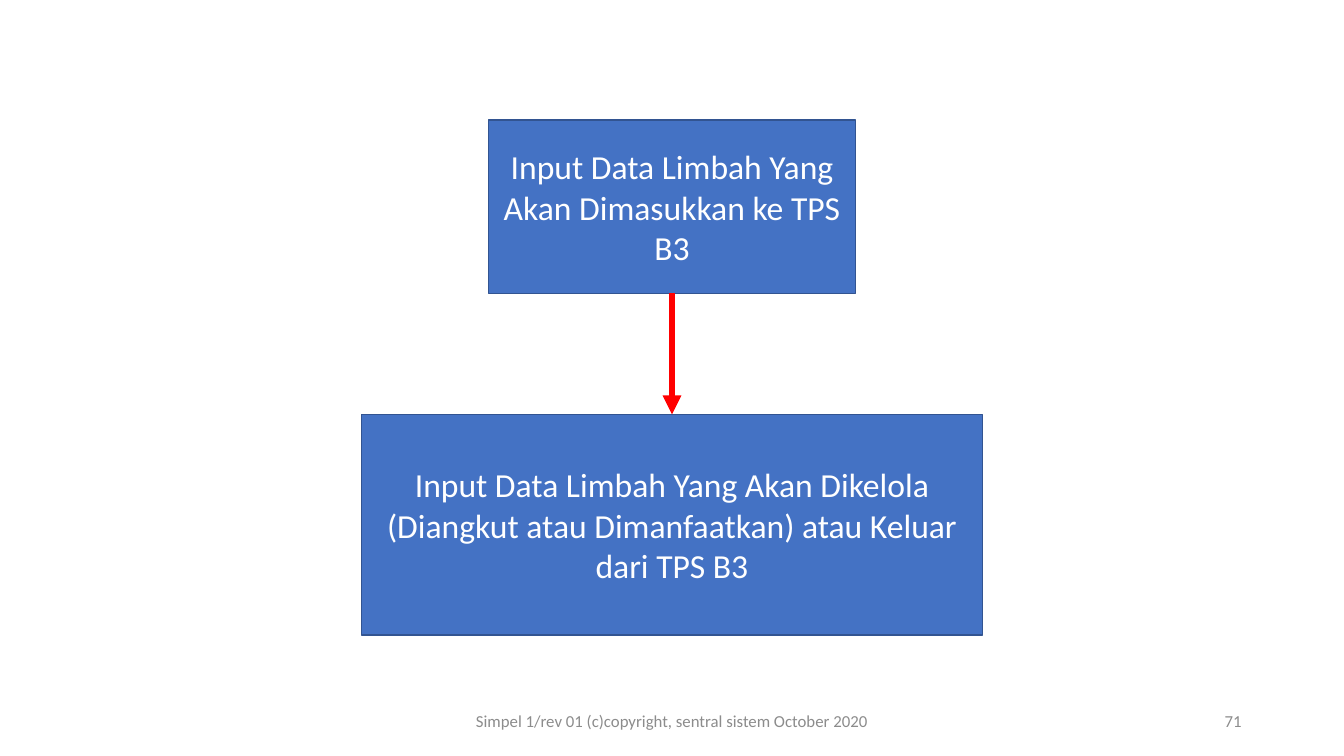
from pptx import Presentation
from pptx.util import Pt
from pptx.dml.color import RGBColor
from pptx.enum.shapes import MSO_SHAPE, MSO_CONNECTOR
from pptx.enum.text import PP_ALIGN, MSO_ANCHOR
from pptx.oxml.ns import qn
from lxml.etree import SubElement

BLUE = RGBColor(0x44, 0x72, 0xC4)
DARK_BLUE = RGBColor(0x32, 0x54, 0x91)
RED = RGBColor(0xFF, 0x00, 0x00)
WHITE = RGBColor(0xFF, 0xFF, 0xFF)
GREY = RGBColor(0x8C, 0x8C, 0x8C)

prs = Presentation()
prs.slide_width, prs.slide_height = Pt(960), Pt(540)
s = prs.slides.add_slide(prs.slide_layouts[6])


def write(sp, text, size, color, align):
    tf = sp.text_frame
    tf.word_wrap = True
    tf.vertical_anchor = MSO_ANCHOR.MIDDLE
    p = tf.paragraphs[0]
    p.alignment = align
    r = p.add_run()
    r.text = text
    r.font.color.rgb = color
    for name, value in {"name": "Calibri", "size": Pt(size)}.items():
        setattr(r.font, name, value)


# Process steps, centred on the slide
steps = [
    (85.7, 262, 123.8, "Input Data Limbah Yang Akan Dimasukkan ke TPS B3"),
    (296, 443.5, 157.6, "Input Data Limbah Yang Akan Dikelola "
     "(Diangkut atau Dimanfaatkan) atau Keluar dari TPS B3"),
]
boxes = []
for top, width, height, text in steps:
    sp = s.shapes.add_shape(MSO_SHAPE.RECTANGLE, Pt(480 - width / 2), Pt(top),
                            Pt(width), Pt(height))
    sp.shadow.inherit = False
    sp.fill.solid()
    sp.fill.fore_color.rgb = BLUE
    sp.line.color.rgb = DARK_BLUE
    sp.line.width = Pt(1)
    write(sp, text, 24, WHITE, PP_ALIGN.CENTER)
    boxes.append(sp)

# Arrow between the steps
arrow = s.shapes.add_connector(MSO_CONNECTOR.STRAIGHT, Pt(480), Pt(209.5), Pt(480), Pt(296))
arrow.begin_connect(boxes[0], 2)
arrow.end_connect(boxes[1], 0)
arrow.line.color.rgb = RED
arrow.line.width = Pt(4.5)
SubElement(arrow.line._get_or_add_ln(), qn("a:tailEnd"), type="triangle")
SubElement(arrow._element.spPr, qn("a:effectLst"))

# Footer and slide number
footer = [
    (318, 324, "Simpel 1/rev 01 (c)copyright, sentral sistem October 2020", PP_ALIGN.CENTER),
    (678, 216, "71", PP_ALIGN.RIGHT),
]
for left, width, text, align in footer:
    sp = s.shapes.add_textbox(Pt(left), Pt(500.5), Pt(width), Pt(28.75))
    write(sp, text, 12, GREY, align)

prs.save("out.pptx")
